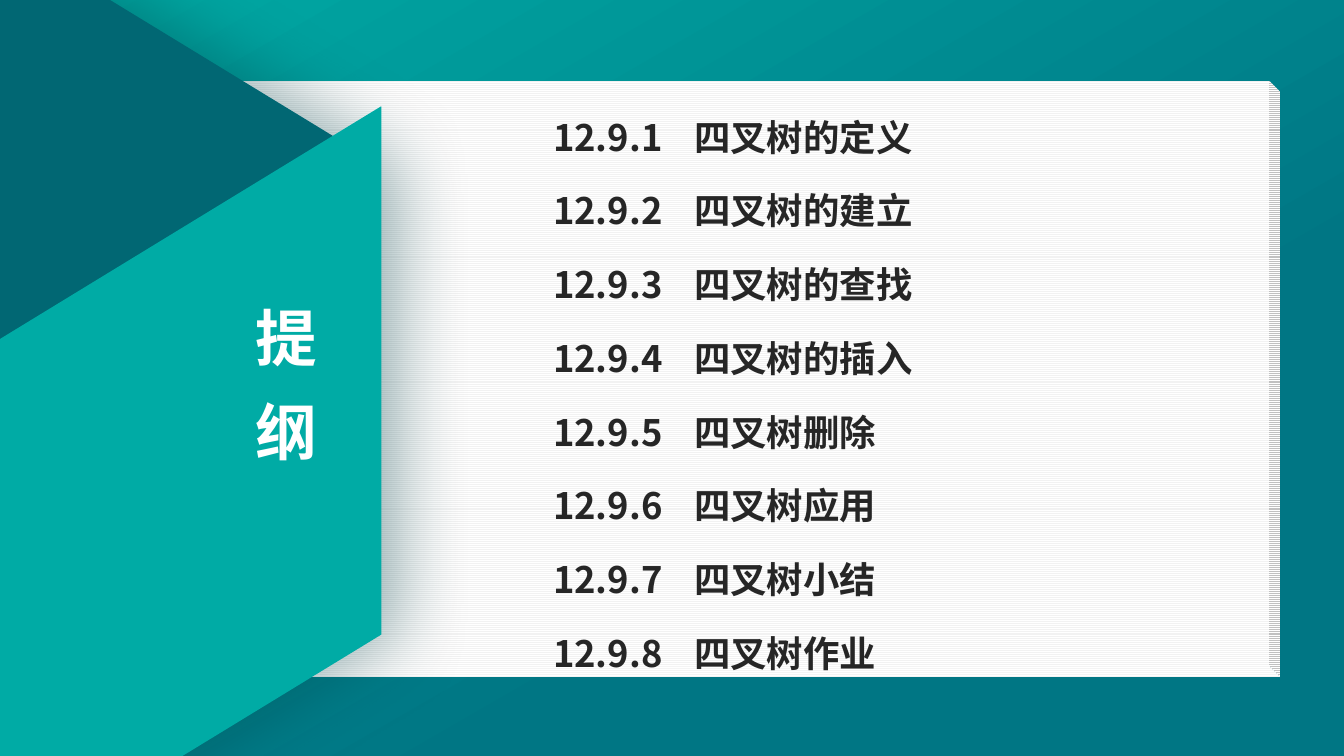
"""Build the outline slide of the quadtree chapter."""
from lxml.etree import SubElement
from pptx import Presentation
from pptx.dml.color import RGBColor
from pptx.enum.dml import MSO_PATTERN
from pptx.enum.shapes import MSO_SHAPE as Preset
from pptx.enum.text import MSO_ANCHOR as Anchor, MSO_AUTO_SIZE as AutoSize, PP_ALIGN as Align
from pptx.oxml import parse_xml
from pptx.oxml.ns import nsdecls, qn
from pptx.util import Emu, Pt

FONT = "Noto Sans CJK SC"
TITLE = "提纲"
TOPICS = ["四叉树的定义", "四叉树的建立", "四叉树的查找", "四叉树的插入",
          "四叉树删除", "四叉树应用", "四叉树小结", "四叉树作业"]
SIZE = (1344, 756)
BOOK = (0, 81, 1280, 596)
HEXAGON = (-626, -80, 1054, 959)
BAND = (-276, 291, 836, 451)
TITLE_BOX = (246, 280, 80, 190)
LIST_BOX = (543, 93, 596, 579)
LIST_INSET = 10
TOPIC_INDENT = 141
BACKDROP_STOPS = [(0, "00ABA5"), (0.67, "007684")]
HEXAGON_STOPS = [(0.77, "016773"), (1, "007684")]


def px(length):
    return Emu(round(length * 914400 / 100.8))


def color(value):
    return RGBColor.from_string(value)


def place(shape, box):
    shape.left, shape.top, shape.width, shape.height = map(px, box)


def add_plain_shape(page, preset, box):
    shape = page.shapes.add_shape(preset, *map(px, box))
    shape.shadow.inherit = False
    shape.line.fill.background()
    return shape


def fill_gradient(fill, stops, clockwise):
    fill.gradient()
    fill.gradient_angle = 360 - clockwise
    for stop, (position, value) in zip(fill.gradient_stops, stops):
        stop.position = position
        stop.color.rgb = color(value)


def outer_shadow(value, alpha, blur, distance, angle):
    return parse_xml(
        f'<a:effectLst {nsdecls("a")}><a:outerShdw blurRad="{Pt(blur)}" dist="{Pt(distance)}" '
        f'dir="{angle * 60000}" algn="ctr" rotWithShape="0"><a:srgbClr val="{value}">'
        f'<a:alpha val="{alpha * 1000}"/></a:srgbClr></a:outerShdw></a:effectLst>')


def format_frame(frame, inset):
    frame.word_wrap = True
    frame.auto_size = AutoSize.NONE
    frame.vertical_anchor = Anchor.TOP
    frame.margin_left = frame.margin_right = px(inset)
    frame.margin_top = frame.margin_bottom = 0


def format_span(span, size, value):
    span.font.size = Pt(size)
    span.font.bold = True
    span.font.color.rgb = color(value)
    span.font.name = FONT
    SubElement(span.font._element, qn("a:ea"), typeface=FONT)


def add_backdrop(page):
    fill_gradient(page.background.fill, BACKDROP_STOPS, 60)
    book = add_plain_shape(page, Preset.CUBE, BOOK)
    book.adjustments[0] = 0.018
    book.element.spPr.find(qn("a:xfrm")).set("flipV", "1")
    book.fill.patterned()
    book.fill.pattern = MSO_PATTERN.LIGHT_HORIZONTAL
    book.fill.fore_color.rgb = color("F2F2F2")
    book.fill.back_color.rgb = color("FFFFFF")

    hexagon = add_plain_shape(page, Preset.HEXAGON, HEXAGON)
    hexagon.rotation = 90
    hexagon.adjustments[0] = 0.305
    fill_gradient(hexagon.fill, HEXAGON_STOPS, 90)
    properties = hexagon.element.spPr
    properties.replace(properties.find(qn("a:effectLst")), outer_shadow("013F45", 40, 55, 13, 0))

    band = add_plain_shape(page, Preset.PARALLELOGRAM, BAND)
    band.rotation = 328.6
    band.adjustments[0] = 0.61
    band.fill.solid()
    band.fill.fore_color.rgb = color("00ABA5")


def write_title(title):
    place(title, TITLE_BOX)
    frame = title.text_frame
    frame.text = TITLE
    format_frame(frame, 0)
    para = frame.paragraphs[0]
    para.alignment = Align.CENTER
    para.line_spacing = Pt(67)
    span = para.runs[0]
    format_span(span, 44, "FFFFFF")
    fill = span.font._element.find(qn("a:solidFill"))
    fill.addnext(outer_shadow("000000", 43, 3, 3, 45))


def write_topics(body):
    place(body, LIST_BOX)
    frame = body.text_frame
    frame.text = "\n".join(f"12.9.{number}\t{topic}" for number, topic in enumerate(TOPICS, 1))
    format_frame(frame, LIST_INSET)
    for para in frame.paragraphs:
        para.alignment = Align.LEFT
        para.line_spacing = Pt(46.7)
        para.space_before = Pt(0)
        para.space_after = Pt(6)
        properties = para._p.get_or_add_pPr()
        properties.set("marL", str(px(TOPIC_INDENT)))
        properties.set("indent", str(-px(TOPIC_INDENT)))
        SubElement(properties, qn("a:buNone"))
        for span in para.runs:
            format_span(span, 26, "262626")


def main():
    deck = Presentation()
    deck.slide_width, deck.slide_height = map(px, SIZE)
    page = deck.slides.add_slide(deck.slide_layouts[1])
    title, body = page.placeholders
    add_backdrop(page)
    write_title(title)
    write_topics(body)
    for placeholder in (title, body):
        page.shapes.element.append(placeholder.element)
    deck.save("out.pptx")


if __name__ == "__main__":
    main()
